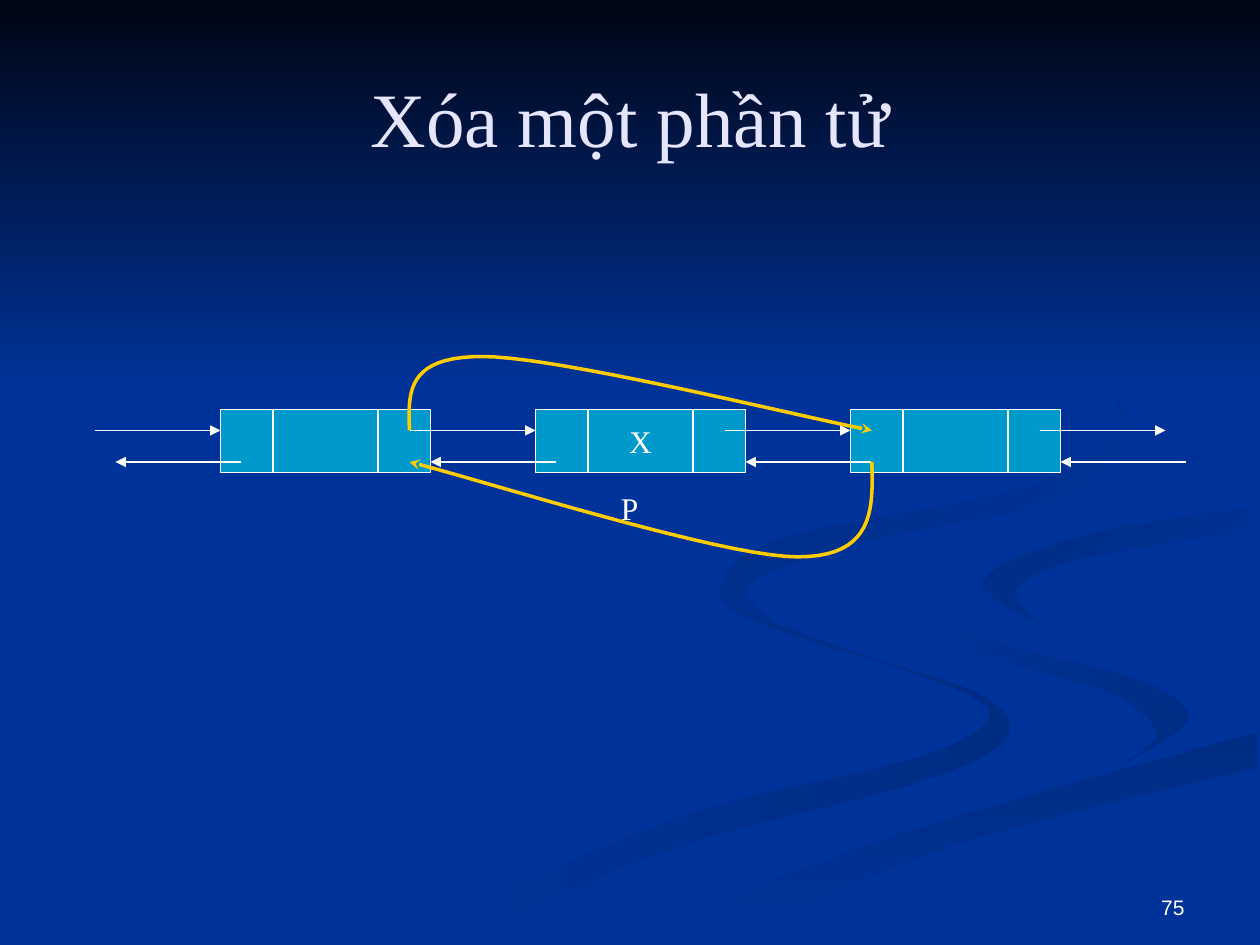
from lxml import etree
from pptx import Presentation
from pptx.dml.color import RGBColor
from pptx.enum.shapes import MSO_CONNECTOR, MSO_SHAPE
from pptx.enum.text import MSO_ANCHOR as Anchor, PP_ALIGN as Align
from pptx.oxml.ns import qn
from pptx.util import Inches, Pt

NAVY = RGBColor(0x00, 0x33, 0x99)
DARK_NAVY = RGBColor(0x00, 0x2C, 0x84)
NIGHT = RGBColor(0x00, 0x05, 0x14)
TEAL = RGBColor(0x00, 0x99, 0xCC)
GOLD = RGBColor(0xFF, 0xCC, 0x00)
WHITE = RGBColor(0xFF, 0xFF, 0xFF)
LAVENDER = RGBColor(0xE5, 0xE5, 0xFF)
SERIF, SANS = "Times New Roman", "Arial"

NODE_WIDTH, NODE_HEIGHT, NODE_PITCH = 5 / 3, 0.5, 2.5
LIST_LEFT, LIST_TOP = 1.75, 3.25
NEXT_Y, PREVIOUS_Y = LIST_TOP + 1 / 6, LIST_TOP + 5 / 12

# Background ribbons: one edge, the edge back, first colour, last colour, angle
RIBBONS = [
    ([(5.75, 4.59), (5.76, 4.8), (6.31, 5.05), (7.28, 5.35), (7.86, 5.66),
      (7.27, 6.02), (5.39, 6.49), (3, 7.49)],
     [(3.61, 7.49), (5.32, 6.74), (7.21, 6.23), (7.97, 5.88), (7.81, 5.53),
      (6.82, 5.19), (5.94, 4.85), (5.75, 4.59)],
     NAVY, DARK_NAVY, 0),
    ([(7.24, 4.64), (7.45, 4.9), (8.11, 5.15), (9.05, 5.4), (9.43, 5.7), (8.94, 6.05)],
     [(8.94, 6.05), (9.18, 5.81), (8.8, 5.49), (7.81, 5.18), (7.24, 4.64)],
     NAVY, DARK_NAVY, 45),
    ([(5.03, 7.49), (6.3, 6.93), (7.64, 6.47), (9.98, 5.81)],
     [(9.98, 6.09), (7.52, 6.72), (5.71, 7.49)],
     DARK_NAVY, NAVY, 90),
    ([(9.98, 4.02), (8.65, 4.24), (7.81, 4.6), (8.26, 4.96)],
     [(8.26, 4.96), (8.06, 4.68), (8.59, 4.43), (9.98, 4.2)],
     DARK_NAVY, NAVY, 45),
    ([(7.62, 2.33), (8.64, 2.91), (8.94, 3.44), (8.41, 3.96), (6.83, 4.3),
      (5.94, 4.65), (6.22, 5)],
     [(6.22, 5), (5.77, 4.62), (6.25, 4.26), (8.18, 3.86), (8.89, 3.35),
      (8.46, 2.79), (7.62, 2.33)],
     DARK_NAVY, NAVY, 45),
]


def sample_cubic(a, b, c, d, steps):
    """Return points along a cubic curve, without its start."""
    points = []
    for t in (step / steps for step in range(1, steps + 1)):
        weights = ((1 - t) ** 3, 3 * t * (1 - t) ** 2, 3 * t * t * (1 - t), t ** 3)
        points.append([sum(w * p[axis] for w, p in zip(weights, (a, b, c, d)))
                       for axis in (0, 1)])
    return points


def smooth_edge(knots, steps=6):
    """Return points of a smooth curve through all knots."""
    def control(point, before, after):
        return [p + (q - r) / 6 for p, q, r in zip(point, after, before)]

    padded = [knots[0], *knots, knots[-1]]
    points = [knots[0]]
    for p0, p1, p2, p3 in zip(padded, padded[1:], padded[2:], padded[3:]):
        points += sample_cubic(p1, control(p1, p0, p2), control(p2, p3, p1), p2, steps)
    return points


def add_outline(slide, points, close):
    start, *rest = [(Inches(x), Inches(y)) for x, y in points]
    builder = slide.shapes.build_freeform(*start)
    builder.add_line_segments(rest, close=close)
    shape = builder.convert_to_shape()
    shape.shadow.inherit = False
    return shape


def set_line(shape, color, width, head=None):
    shape.line.color.rgb = color
    shape.line.width = Pt(width)
    if head:
        line = shape.line._get_or_add_ln()
        etree.SubElement(line, qn("a:tailEnd"), type=head)


def set_gradient(shape, first, last, angle):
    shape.line.fill.background()
    shape.fill.gradient()
    shape.fill.gradient_angle = (360 - angle) % 360
    for stop, color in zip(shape.fill.gradient_stops, (first, last)):
        stop.color.rgb = color


def write_text(shape, text, font, size, color, align, anchor):
    frame = shape.text_frame
    frame.text = text
    frame.vertical_anchor = anchor
    paragraph = frame.paragraphs[0]
    paragraph.alignment = align
    paragraph.font.name = font
    paragraph.font.size = Pt(size)
    paragraph.font.color.rgb = color


def add_label(slide, box, text, *style):
    label = slide.shapes.add_textbox(*map(Inches, box))
    label.text_frame.word_wrap = True
    write_text(label, text, *style)


def add_box(slide, *box):
    shape = slide.shapes.add_shape(MSO_SHAPE.RECTANGLE, *map(Inches, box))
    shape.shadow.inherit = False
    return shape


def add_straight(slide, x1, y1, x2, y2, head=None):
    line = slide.shapes.add_connector(
        MSO_CONNECTOR.STRAIGHT, Inches(x1), Inches(y1), Inches(x2), Inches(y2))
    etree.SubElement(line._element.spPr, qn("a:effectLst"))
    set_line(line, WHITE, 0.75, head)


def add_background(slide):
    slide.background.fill.solid()
    slide.background.fill.fore_color.rgb = NAVY
    for edge, edge_back, *gradient in RIBBONS:
        ribbon = add_outline(slide, smooth_edge(edge) + smooth_edge(edge_back), close=True)
        set_gradient(ribbon, *gradient)
    set_gradient(add_box(slide, 0, 0, 10, 3.08), NIGHT, NAVY, 90)


def add_title(slide, box, text):
    title = slide.shapes.title
    title.left, title.top, title.width, title.height = map(Inches, box)
    write_text(title, text, SERIF, 44, LAVENDER, Align.CENTER, Anchor.MIDDLE)
    title.element.getparent().append(title.element)  # in front of the background


def add_node(slide, left, top, text):
    node = add_box(slide, left, top, NODE_WIDTH, NODE_HEIGHT)
    node.fill.solid()
    node.fill.fore_color.rgb = TEAL
    set_line(node, WHITE, 0.75)
    if text:
        write_text(node, text, SERIF, 18, WHITE, Align.CENTER, Anchor.MIDDLE)
    for share in (0.25, 0.75):
        x = left + share * NODE_WIDTH
        add_straight(slide, x, top, x, top + NODE_HEIGHT)


def add_links(slide, left):
    """Draw the next and previous arrows between a node and its successor."""
    right = left + NODE_WIDTH
    add_straight(slide, left + 1.5, NEXT_Y, left + NODE_PITCH, NEXT_Y, "triangle")
    add_straight(slide, right + 1, PREVIOUS_Y, right, PREVIOUS_Y, "triangle")


def add_bypass(slide, start, *curves):
    """Draw joined cubic curves, each given by two controls and its end."""
    points = [start]
    for curve in curves:
        points += sample_cubic(points[-1], *curve, steps=20)
    shape = add_outline(slide, points, close=False)
    shape.fill.background()
    set_line(shape, GOLD, 2, "stealth")


def main():
    presentation = Presentation()
    presentation.slide_width, presentation.slide_height = Inches(10), Inches(7.5)
    slide = presentation.slides.add_slide(presentation.slide_layouts[5])
    add_background(slide)
    add_label(slide, (7.17, 6.83, 2.33, 0.52), "75",
              SANS, 12, WHITE, Align.RIGHT, Anchor.BOTTOM)
    add_title(slide, (0.5, 0.3, 9, 1.25), "Xóa một phần tử")

    # Doubly linked list
    for index, text in enumerate(("", "X", "")):
        add_node(slide, LIST_LEFT + index * NODE_PITCH, LIST_TOP, text)
    for index in range(-1, 3):
        add_links(slide, LIST_LEFT + index * NODE_PITCH)
    add_label(slide, (4.83, 3.83, 1.25, 0.4), "P",
              SERIF, 18, WHITE, Align.LEFT, Anchor.TOP)

    # Links that skip the removed node
    add_bypass(slide, (3.25, NEXT_Y),
               ((3.24, 3.12), (3.22, 2.83), (3.83, 2.83)),
               ((4.44, 2.83), (6.4, 3.32), (6.92, NEXT_Y)))
    add_bypass(slide, (6.92, PREVIOUS_Y),
               ((6.93, 4.04), (6.94, 4.42), (6.33, 4.42)),
               ((5.72, 4.42), (3.76, 3.79), (3.25, PREVIOUS_Y)))
    presentation.save("out.pptx")


if __name__ == "__main__":
    main()
